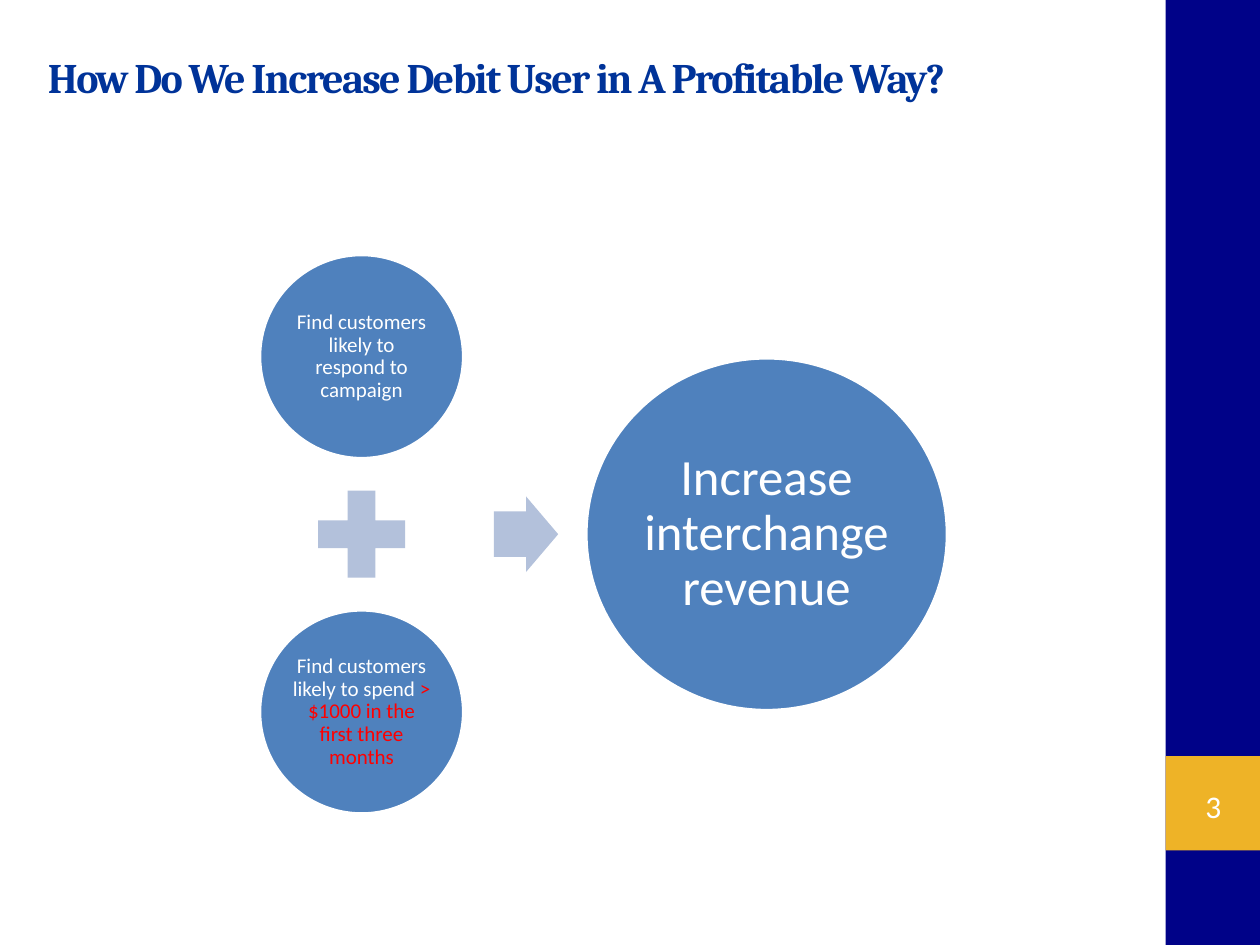
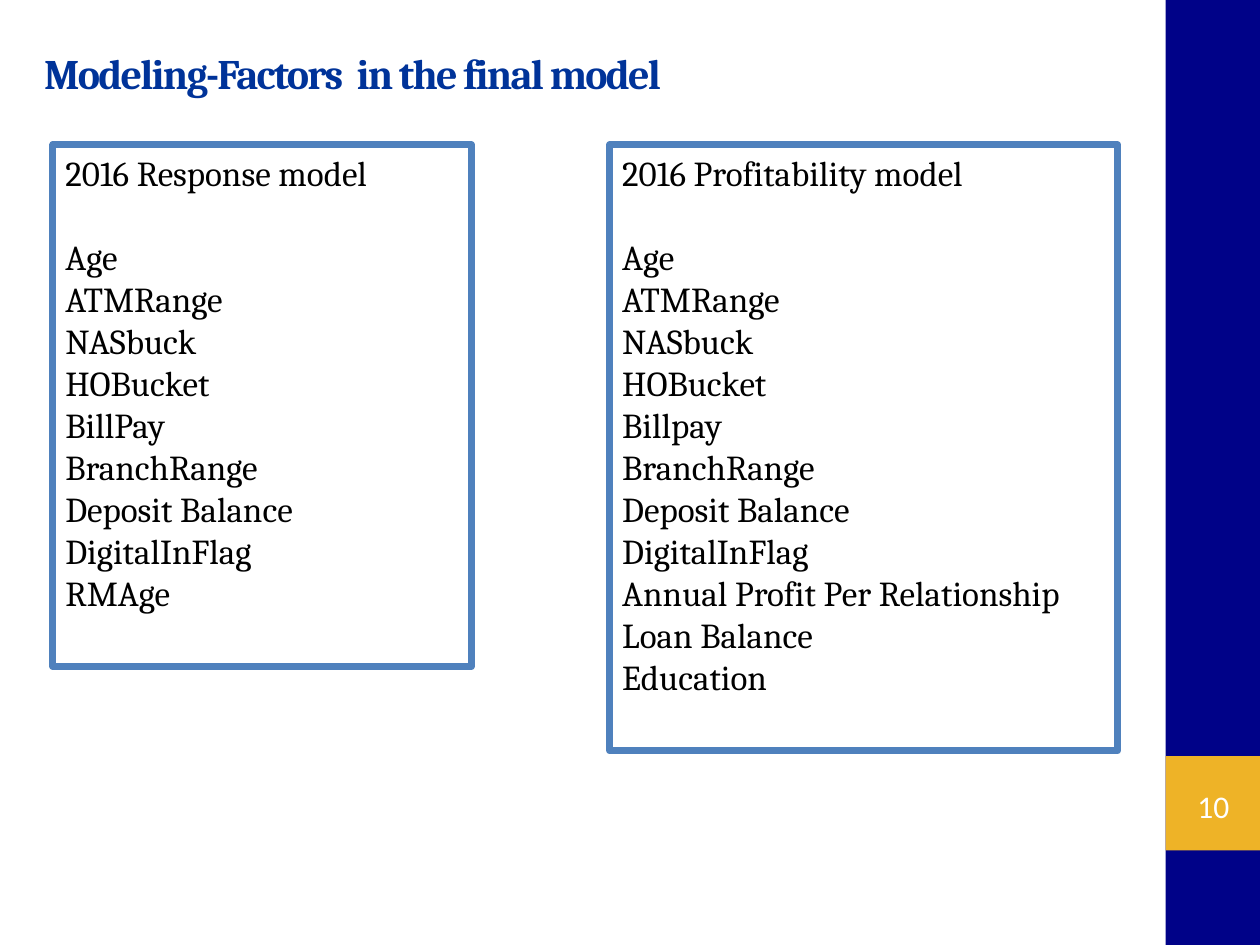
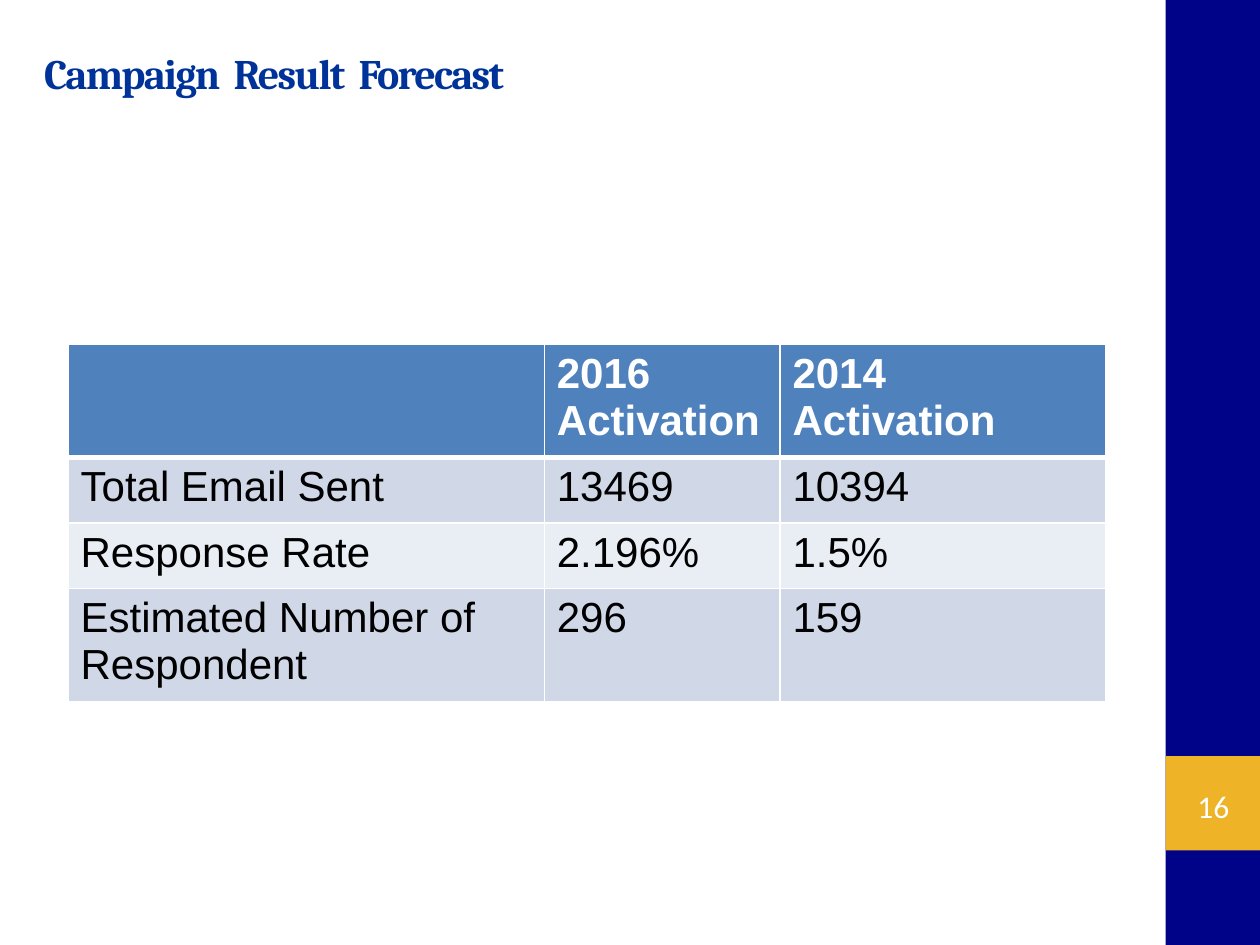
from lxml import etree
from pptx import Presentation
from pptx.dml.color import RGBColor
from pptx.enum import shapes, text
from pptx.oxml import ns
from pptx.util import Inches, Pt

NAVY = RGBColor(0x00, 0x02, 0x88)
GOLD = RGBColor(0xEE, 0xB3, 0x27)
TITLE_BLUE = RGBColor(0x00, 0x33, 0x99)
BLUE = RGBColor(0x4F, 0x81, 0xBD)
PALE_BLUE = RGBColor(0xB3, 0xC1, 0xDB)
ROW_DARK = RGBColor(0xD0, 0xD8, 0xE8)
ROW_LIGHT = RGBColor(0xE9, 0xED, 0xF4)
WHITE = RGBColor(0xFF, 0xFF, 0xFF)
BLACK = RGBColor(0x00, 0x00, 0x00)
RED = RGBColor(0xFF, 0x00, 0x00)

SHAPE = shapes.MSO_SHAPE
ALIGN = text.PP_ALIGN
ANCHOR = text.MSO_ANCHOR

BAND_LEFT, BAND_WIDTH = 9.25, 0.75
NUMBER_TOP = 6

GOALS = [
    [("Find customers likely to respond to campaign", WHITE)],
    [("Find customers likely to spend ", WHITE),
     ("> $1000 in the first three months", RED)],
]
OUTCOME = [("Increase interchange revenue", WHITE)]

MODELS = [
    ("2016 Response model", (0.42, 1.15, 3.32, 4.14),
     ["Age", "ATMRange", "NASbuck", "HOBucket", "BillPay", "BranchRange",
      "Deposit Balance", "DigitalInFlag", "RMAge"]),
    ("2016 Profitability model", (4.84, 1.15, 4.03, 4.81),
     ["Age", "ATMRange", "NASbuck", "HOBucket", "Billpay", "BranchRange",
      "Deposit Balance", "DigitalInFlag", "Annual Profit Per Relationship",
      "Loan Balance", "Education"]),
]

FORECAST = [
    ("", "2016 Activation", "2014 Activation"),
    ("Total Email Sent", "13469", "10394"),
    ("Response Rate", "2.196%", "1.5%"),
    ("Estimated Number of Respondent", "296", "159"),
]
COLUMN_WIDTHS = (3.78, 1.87, 2.59)
ROW_HEIGHT = 0.52


def box(*lengths):
    return [Inches(n) for n in lengths]


def set_font(p, name, size, color, bold=False):
    p.font.name = name
    p.font.size = Pt(size)
    p.font.color.rgb = color
    p.font.bold = bold


def set_insets(tf, inset):
    tf.margin_left = tf.margin_top = Inches(inset)
    tf.margin_right = tf.margin_bottom = Inches(inset)


def add_shape(slide, kind, at, fill=None, line=None, width=1):
    sp = slide.shapes.add_shape(kind, *box(*at))
    sp.shadow.inherit = False
    if fill is None:
        sp.fill.background()
    else:
        sp.fill.solid()
        sp.fill.fore_color.rgb = fill
    if line is None:
        sp.line.fill.background()
    else:
        sp.line.color.rgb = line
        sp.line.width = Pt(width)
    return sp


def add_bands(slide):
    tree = slide.slide_layout.shapes._spTree
    bands = [(0, 7.5, NAVY), (NUMBER_TOP, BAND_WIDTH, GOLD)]
    for i, (top, height, color) in enumerate(bands):
        sp = add_shape(slide, SHAPE.RECTANGLE,
                       (BAND_LEFT, top, BAND_WIDTH, height), color)
        sp._element.nvSpPr.cNvPr.set("id", str(100 + i))
        tree.insert(2 + i, sp._element)


def add_slide(prs, title, number, at=(0.25, 0.33, 8.82, 0.58)):
    slide = prs.slides.add_slide(prs.slide_layouts[5])
    sp = slide.shapes.title
    sp.left, sp.top, sp.width, sp.height = box(*at)
    tf = sp.text_frame
    tf.text = title
    tf.auto_size = text.MSO_AUTO_SIZE.NONE
    tf.vertical_anchor = ANCHOR.TOP
    p = tf.paragraphs[0]
    p.alignment = ALIGN.LEFT
    set_font(p, "Cambria", 24, TITLE_BLUE, True)
    p.runs[0].font._element.set("spc", "-100")

    tf = slide.shapes.add_textbox(*box(9.33, 6.18, 0.6, 0.43)).text_frame
    tf.word_wrap = True
    tf.vertical_anchor = ANCHOR.MIDDLE
    set_insets(tf, 0)
    p = tf.paragraphs[0]
    p.text = str(number)
    p.alignment = ALIGN.CENTER
    set_font(p, "Calibri", 18, WHITE)
    return slide


def add_circle(slide, at, runs, size, inset):
    sp = add_shape(slide, SHAPE.OVAL, at, BLUE, WHITE, 2)
    tf = sp.text_frame
    tf.word_wrap = True
    tf.vertical_anchor = ANCHOR.MIDDLE
    set_insets(tf, inset)
    p = tf.paragraphs[0]
    p.alignment = ALIGN.CENTER
    p.line_spacing = 0.9
    p.font.name = "Calibri"
    p.font.size = Pt(size)
    for words, color in runs:
        r = p.add_run()
        r.text = words
        r.font.color.rgb = color


def add_equation(slide):
    center_x, center_y = 2.87, 4.24
    goal, plus, gap = 1.62, 0.94, 0.13
    offset = plus / 2 + gap + goal / 2
    for side, runs in zip((-1, 1), GOALS):
        top = center_y + side * offset - goal / 2
        add_circle(slide, (center_x - goal / 2, top, goal, goal), runs, 12, 0.02)
    add_shape(slide, SHAPE.MATH_PLUS,
              (center_x - plus / 2, center_y - plus / 2, plus, plus), PALE_BLUE)
    arrow = add_shape(slide, SHAPE.RIGHT_ARROW,
                      (3.92, center_y - 0.3, 0.51, 0.6), PALE_BLUE)
    arrow.adjustments[0] = 0.6
    arrow.adjustments[1] = 0.5
    add_circle(slide, (4.65, center_y - 1.4, 2.87, 2.8), OUTCOME, 29, 0.04)


def add_model(slide, heading, at, factors):
    sp = add_shape(slide, SHAPE.RECTANGLE, at, line=BLUE, width=4)
    tf = sp.text_frame
    tf.word_wrap = True
    tf.vertical_anchor = ANCHOR.TOP
    tf.text = "\n".join([heading] + factors)
    for p in tf.paragraphs:
        p.alignment = ALIGN.LEFT
        set_font(p, "Cambria", 20, BLACK)
    tf.paragraphs[0].space_after = Pt(24)


def set_borders(cell, bottom, top):
    tc_pr = cell._tc.get_or_add_tcPr()
    for side, width in (("L", 1), ("R", 1), ("T", top), ("B", bottom)):
        ln = etree.SubElement(tc_pr, ns.qn("a:ln" + side), w=str(Pt(width)))
        fill = etree.SubElement(ln, ns.qn("a:solidFill"))
        etree.SubElement(fill, ns.qn("a:srgbClr"), val=str(WHITE))


def add_forecast(slide):
    at = (0.54, 2.73, sum(COLUMN_WIDTHS), ROW_HEIGHT * len(FORECAST))
    table = slide.shapes.add_table(len(FORECAST), len(COLUMN_WIDTHS), *box(*at)).table
    for column, width in zip(table.columns, COLUMN_WIDTHS):
        column.width = Inches(width)
    for i, row in enumerate(FORECAST):
        header = i == 0
        fill = BLUE if header else (ROW_LIGHT, ROW_DARK)[i % 2]
        for j, words in enumerate(row):
            cell = table.cell(i, j)
            set_borders(cell, 3 if header else 1, 3 if i == 1 else 1)
            cell.fill.solid()
            cell.fill.fore_color.rgb = fill
            cell.text = words
            set_font(cell.text_frame.paragraphs[0], "Arial", 24,
                     WHITE if header else BLACK, header)


def main():
    prs = Presentation()
    prs.slide_width, prs.slide_height = box(10, 7.5)

    slide = add_slide(prs, "How Do We Increase Debit User in A Profitable Way?",
                      3, (0.28, 0.36, 8.35, 0.5))
    add_bands(slide)
    add_equation(slide)

    slide = add_slide(prs, "Modeling-Factors  in the final model", 10)
    for model in MODELS:
        add_model(slide, *model)

    slide = add_slide(prs, "Campaign  Result  Forecast", 16)
    add_forecast(slide)

    prs.save("out.pptx")


if __name__ == "__main__":
    main()
